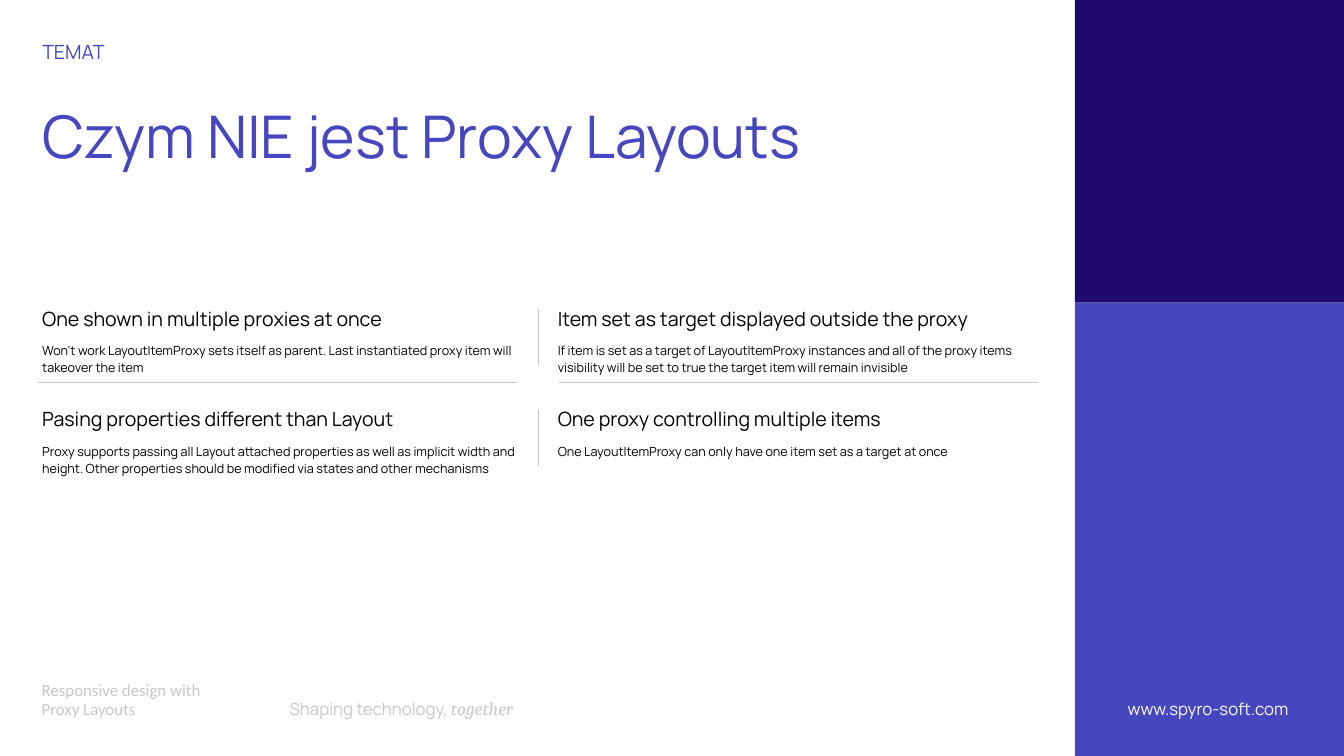
from dataclasses import dataclass

import pptx
import pptx.dml.color
import pptx.enum.shapes
import pptx.enum.text
import pptx.oxml.ns
import pptx.util
from lxml import etree

Inches = pptx.util.Inches
Pt = pptx.util.Pt
Anchor = pptx.enum.text.MSO_ANCHOR


@dataclass(frozen=True)
class Theme:
    indigo: str = "4646BE"
    navy: str = "1E0A6E"
    grey: str = "C8C8C8"
    black: str = "000000"
    white: str = "FFFFFF"
    main_font: str = "Manrope"
    footer_font: str = "Calibri"
    accent_font: str = "Cambria"
    title_size: int = 84
    heading_size: int = 28
    accent_size: int = 26
    footer_size: int = 24
    body_size: int = 18
    rule_width: float = 0.5


@dataclass(frozen=True)
class Point:
    column: int
    row: int
    heading: str
    body: str


THEME = Theme()
PAGE_WIDTH, PAGE_HEIGHT = 26.67, 15
PANEL_LEFT, PANEL_SPLIT = 21.33, 6
COLUMN_LEFTS, COLUMN_WIDTHS = (0.74, 10.97), (9.6, 9.63)
ROW_TOPS = (6, 8)
FOOTER_TOP, FOOTER_HEIGHT = 13.25, 1.06

POINTS = [
    Point(0, 0, "One shown in multiple proxies at once",
          "Won't work LayoutItemProxy sets itself as parent. Last instantiated "
          "proxy item will takeover the item"),
    Point(1, 0, "Item set as target displayed outside the proxy",
          "If item is set as a target of LayoutItemProxy instances and all of the "
          "proxy items visibility will be set to true the target item will remain invisible"),
    Point(0, 1, "Pasing properties different than Layout",
          "Proxy supports passing all Layout attached properties as well as implicit "
          "width and height. Other properties should be modified via states and other mechanisms"),
    Point(1, 1, "One proxy controlling multiple items",
          "One LayoutItemProxy can only have one item set as a target at once"),
]


def rgb(value: str):
    return pptx.dml.color.RGBColor.from_string(value)


def add_span(para, text: str, *, size: float, color: str,
             font: str = THEME.main_font, italic: bool = False) -> None:
    span = para.add_run()
    span.text = text
    span.font.size = Pt(size)
    span.font.name = font
    span.font.italic = italic
    span.font.color.rgb = rgb(color)


def add_text(page, text: str, left: float, top: float, width: float, height: float, *,
             spacing, anchor=Anchor.TOP, **span_format):
    """Add a wrapped text box; a newline in the text is a line break."""
    box = page.shapes.add_textbox(Inches(left), Inches(top), Inches(width), Inches(height))
    box.text_frame.word_wrap = True
    box.text_frame.vertical_anchor = anchor
    para = box.text_frame.paragraphs[0]
    para.line_spacing = spacing
    for index, line in enumerate(text.split("\n")):
        if index:
            para.add_line_break()
        add_span(para, line, **span_format)
    return para


def add_panel(page, top: float, bottom: float, color: str) -> None:
    panel = page.shapes.add_shape(
        pptx.enum.shapes.MSO_SHAPE.RECTANGLE, Inches(PANEL_LEFT), Inches(top),
        Inches(PAGE_WIDTH - PANEL_LEFT), Inches(bottom - top))
    panel.shadow.inherit = False
    panel.fill.solid()
    panel.fill.fore_color.rgb = rgb(color)
    panel.line.fill.background()


def add_rule(page, x1: float, y1: float, x2: float, y2: float) -> None:
    rule = page.shapes.add_connector(
        pptx.enum.shapes.MSO_CONNECTOR.STRAIGHT,
        Inches(x1), Inches(y1), Inches(x2), Inches(y2))
    rule.line.color.rgb = rgb(THEME.grey)
    rule.line.width = Pt(THEME.rule_width)
    etree.SubElement(rule.element.spPr, pptx.oxml.ns.qn("a:effectLst"))


def add_point(page, point: Point) -> None:
    left, width = COLUMN_LEFTS[point.column], COLUMN_WIDTHS[point.column]
    top = ROW_TOPS[point.row]
    add_text(page, point.heading, left, top, width, 0.7, spacing=Pt(36),
             size=THEME.heading_size, color=THEME.black)
    add_text(page, point.body, left, top + 0.73, width, 0.53, spacing=Pt(24),
             size=THEME.body_size, color=THEME.black)


def add_footer(page, text: str, left: float, width: float, *, color: str,
               spacing=Pt(112), font: str = THEME.main_font):
    return add_text(page, text, left, FOOTER_TOP, width, FOOTER_HEIGHT, spacing=spacing,
                    anchor=Anchor.BOTTOM, size=THEME.footer_size, color=color, font=font)


def main() -> None:
    deck = pptx.Presentation()
    deck.slide_width, deck.slide_height = Inches(PAGE_WIDTH), Inches(PAGE_HEIGHT)
    page = deck.slides.add_slide(deck.slide_layouts[6])

    # Side panels
    add_panel(page, PANEL_SPLIT, PAGE_HEIGHT, THEME.indigo)
    add_panel(page, 0, PANEL_SPLIT, THEME.navy)

    # Topic and title
    add_text(page, "TEMAT", COLUMN_LEFTS[0], 0.7, 19.85, 0.8, spacing=Pt(36),
             size=THEME.heading_size, color=THEME.indigo)
    add_text(page, "Czym NIE jest Proxy Layouts", COLUMN_LEFTS[0], 1.78, 19.85, 3.38,
             spacing=Pt(112), size=THEME.title_size, color=THEME.indigo)

    # Grid of points
    for point in POINTS:
        add_point(page, point)

    # Rules between rows and columns
    for left in (0.76, 11.09):
        add_rule(page, left, 7.58, left + 9.5, 7.58)
    for top in ROW_TOPS:
        add_rule(page, 10.67, top + 0.14, 10.67, top + 1.25)

    # Footer
    add_footer(page, "Responsive design with\nProxy Layouts", 0.73, 4.92,
               color=THEME.grey, spacing=0.9, font=THEME.footer_font)
    tagline = add_footer(page, "Shaping technology, ", 5.65, 7.66, color=THEME.grey)
    add_span(tagline, "together", size=THEME.accent_size, color=THEME.grey,
             font=THEME.accent_font, italic=True)
    add_footer(page, "www.spyro-soft.com", 22.28, 4.13, color=THEME.white)

    deck.save("out.pptx")


if __name__ == "__main__":
    main()
